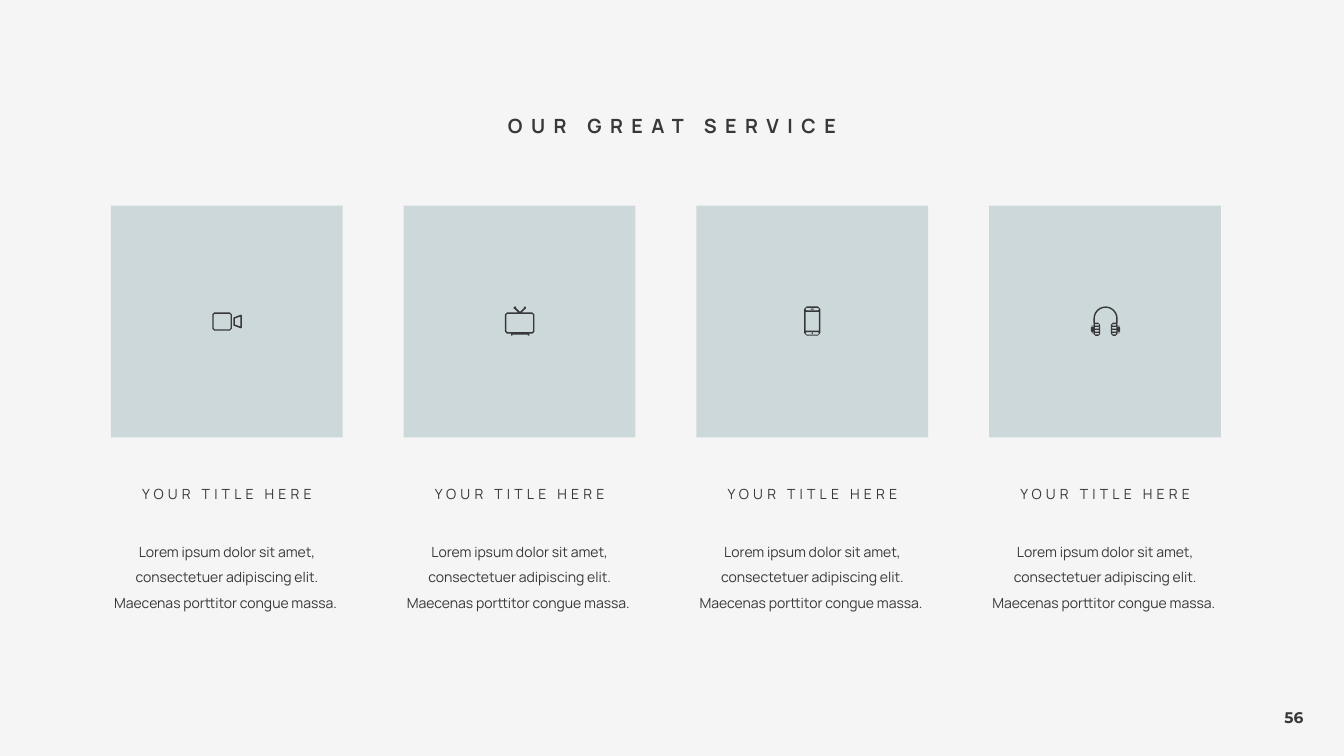
"""Build the service slide with four icon cards."""
import math

from pptx import Presentation
from pptx.dml.color import RGBColor
from pptx.enum.shapes import MSO_SHAPE
from pptx.enum.text import MSO_ANCHOR, MSO_AUTO_SIZE, PP_ALIGN
from pptx.util import Inches, Pt

RECT = MSO_SHAPE.RECTANGLE
TOP, FIXED = MSO_ANCHOR.TOP, MSO_AUTO_SIZE.NONE
MID, LEFT = PP_ALIGN.CENTER, PP_ALIGN.LEFT

INK, TILE, BACK = "38383A", "CDD8DA", "F5F5F5"
TITLE, PAGE = "OUR GREAT SERVICE", "56"
HEAD = "YOUR TITLE HERE"
BODY = "Lorem ipsum dolor sit amet, consectetuer adipiscing elit. Maecenas porttitor congue massa. "
CARDS = [("camera", HEAD, BODY), ("screen", HEAD, BODY),
         ("phone", HEAD, BODY), ("headset", HEAD, BODY)]

FIRST, LAST, SIDE, TILE_TOP = 1.1, 9.81, 2.3, 2.04
TEXT_W, HEAD_TOP, BODY_TOP = 2.69, 4.68, 5.26
STEP = (LAST - FIRST) / (len(CARDS) - 1)

TITLE_FONT = {"name": "Manrope", "size": Pt(14), "bold": True}
CARD_FONT = {"name": "Manrope", "size": Pt(10)}
PAGE_FONT = {"name": "Montserrat", "size": Pt(11), "bold": True}


def box(x, y, right, base, cut=0):
    if not cut:
        return [(x, y), (right, y), (right, base), (x, base)]
    return [(x + cut, y), (right - cut, y), (right, y + cut), (right, base - cut),
            (right - cut, base), (x + cut, base), (x, base - cut), (x, y + cut)]


def arch(size):
    turns = [math.pi * k / 12 for k in range(13)]
    return [(0.5 - size * math.cos(t), -3 - size * math.sin(t)) for t in turns]


def flip(loop):
    return [(1 - x, y) for x, y in loop]


BAND = [(-11.5, 2), *arch(12), (12.5, 2), (11.1, 2), *arch(10.6)[::-1], (-10.1, 2)]
CUP = [box(-11.5, 1.2, -4.8, 14.2, 2), box(-14, 4, -11.5, 11.5, 2),
       box(-10, 2.7, -6.2, 4), box(-10.2, 5.3, -6.1, 7),
       box(-10.2, 8.3, -6.1, 10), box(-10, 11.3, -6.2, 12.8)]
SET = [(-14.5, -7), (-12.5, -9), (-1.5, -9), (-4.5, -12.2), (-6, -13), (-5.5, -14.8),
       (-4, -15), (-3, -13), (0.5, -9.6), (4, -13), (4.5, -14.8), (6, -14.8),
       (6.5, -13), (5, -12), (2.2, -9), (12.7, -9), (14.7, -7), (14.7, 10),
       (12.7, 12), (9.7, 12), (9.7, 14), (8.4, 14), (8.4, 13), (-7, 13),
       (-7, 14), (-8.3, 14), (-8.3, 12), (-12.5, 12), (-14.5, 10)]

ICONS = {
    "camera": [box(-14.5, -9, 5, 9, 2), box(-13.2, -7.7, 3.7, 7.7, 1),
               [(14, -6.8), (15, -6), (15, 6), (14, 6.8), (6.5, 4), (6.5, -4)],
               [(13.5, -5), (8, -3), (8, 3), (13.5, 5)]],
    "screen": [SET, box(-13, -7.7, 13.4, 10.5, 1)],
    "phone": [box(-8, -15, 8, 14, 2.5), box(-6.6, -13.6, 6.6, -11, 1),
              box(-6.6, -9.6, 6.6, 9), box(-6.6, 10.4, 6.6, 12.9, 1),
              box(-1.5, -12.9, 1.5, -11.7, 0.4), box(-0.7, 11, 0.7, 12.3, 0.4)],
    "headset": [BAND, *CUP, *map(flip, CUP)],
}


def tint(code):
    return RGBColor.from_string(code)


def paint(shape, fill):
    shape.shadow.inherit = False
    shape.fill.solid()
    shape.fill.fore_color.rgb = tint(fill)
    shape.line.fill.background()


def write(shape, text, font, space=0, align=MID, lead=1.5, wrap=True):
    frame = shape.text_frame
    for key, val in {"word_wrap": wrap, "auto_size": FIXED, "vertical_anchor": TOP}.items():
        setattr(frame, key, val)
    para = frame.paragraphs[0]
    para.alignment, para.line_spacing = align, lead
    run = para.add_run()
    run.text = text
    for key, val in font.items():
        setattr(run.font, key, val)
    run.font.color.rgb = tint(INK)
    if space:
        run._r.get_or_add_rPr().set("spc", str(space * 100))


def place(shapes, area, *args, **opts):
    write(shapes.add_textbox(*map(Inches, area)), *args, **opts)


def draw(shapes, loops, mid_x, mid_y):
    pen = None
    for loop in loops:
        spots = [(Inches(mid_x + x / 100), Inches(mid_y + y / 100)) for x, y in loop]
        if pen:
            pen.move_to(*spots[0])
        else:
            pen = shapes.build_freeform(*spots[0])
        pen.add_line_segments(spots[1:], close=True)
    paint(pen.convert_to_shape(), INK)


def main():
    deck = Presentation()
    deck.slide_width, deck.slide_height = Inches(13.33), Inches(7.5)
    slide = deck.slides.add_slide(deck.slide_layouts[5])
    slide.background.fill.solid()
    slide.background.fill.fore_color.rgb = tint(BACK)

    title = slide.shapes.title
    spot = {"left": 4.29, "top": 0.96, "width": 4.75, "height": 0.41}
    for key, val in spot.items():
        setattr(title, key, Inches(val))
    write(title, TITLE, TITLE_FONT, space=6)

    for i, (icon, head, body) in enumerate(CARDS):
        left = FIRST + i * STEP
        mid = left + SIDE / 2
        text_x = mid - TEXT_W / 2
        card = slide.shapes.add_group_shape().shapes
        tile = card.add_shape(RECT, *map(Inches, (left, TILE_TOP, SIDE, SIDE)))
        paint(tile, TILE)
        draw(card, ICONS[icon], mid, TILE_TOP + SIDE / 2)
        place(card, (text_x, BODY_TOP, TEXT_W, 0.86), body, CARD_FONT)
        place(card, (text_x, HEAD_TOP, TEXT_W, 0.35), head, CARD_FONT, space=3)

    place(slide.shapes, (12.64, 6.98, 0.41, 0.29), PAGE, PAGE_FONT,
          align=LEFT, lead=1, wrap=False)
    deck.save("out.pptx")


if __name__ == "__main__":
    main()
